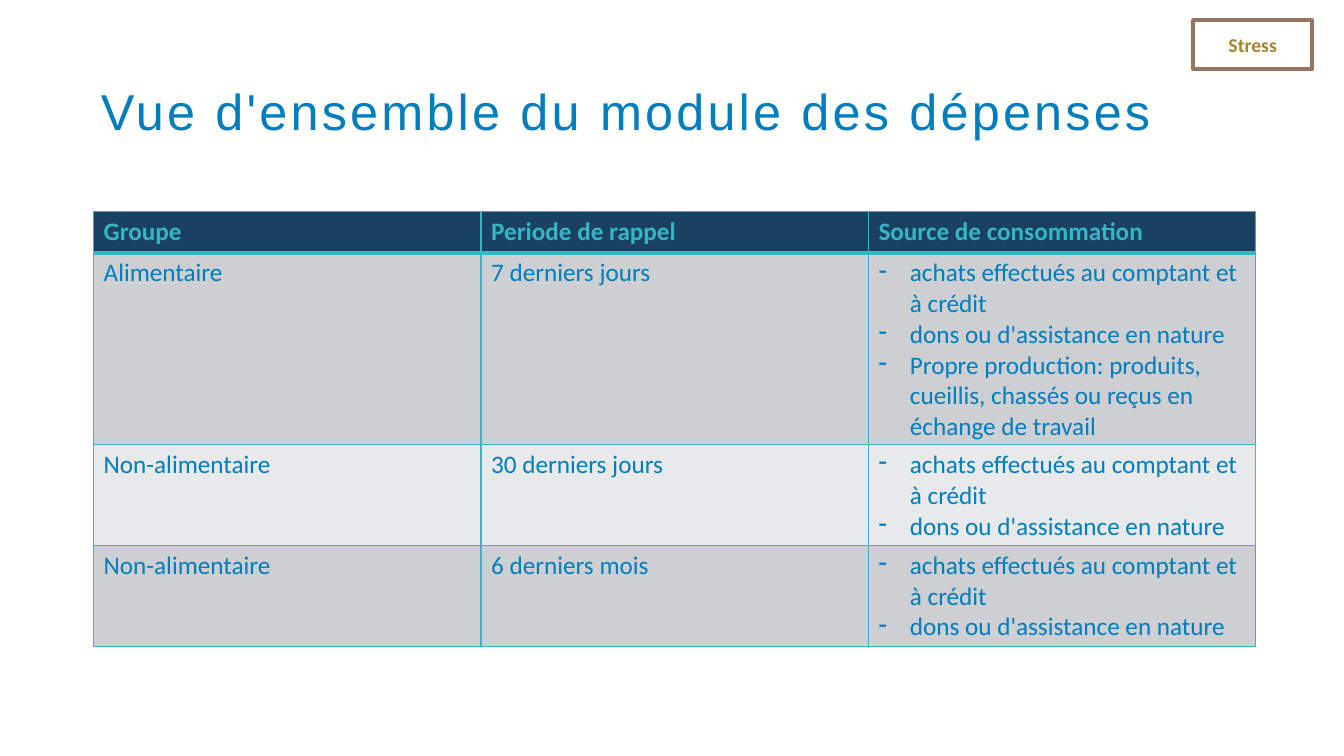
from lxml import etree
from pptx import Presentation
from pptx.dml.color import RGBColor
from pptx.enum.shapes import MSO_SHAPE
from pptx.enum.text import MSO_ANCHOR, MSO_AUTO_SIZE, PP_ALIGN
from pptx.oxml.ns import qn
from pptx.util import Cm, Pt

RECTANGLE = MSO_SHAPE.RECTANGLE
MIDDLE = MSO_ANCHOR.MIDDLE
LEFT, CENTER = PP_ALIGN.LEFT, PP_ALIGN.CENTER
NO_FIT, GROW = MSO_AUTO_SIZE.NONE, MSO_AUTO_SIZE.SHAPE_TO_FIT_TEXT

COLORS = {
    "background": "FFFFFE", "blue": "007DBC", "teal": "36B5C5", "navy": "1A4161",
    "brown": "95765E", "gold": "A5862E", "dark_band": "CDCFD2", "light_band": "E8E9EA",
}
PURCHASES = "achats effectués au comptant et à crédit"
GIFTS = "dons ou d'assistance en nature"
OWN_PRODUCTION = ("Propre production: produits, cueillis, chassés ou reçus "
                  "en échange de travail")
HEADER = ["Groupe", "Periode de rappel", "Source de consommation"]
EXPENSES = [
    ["Alimentaire", "7 derniers jours", [PURCHASES, GIFTS, OWN_PRODUCTION]],
    ["Non-alimentaire", "30 derniers jours", [PURCHASES, GIFTS]],
    ["Non-alimentaire", "6 derniers mois", [PURCHASES, GIFTS]],
]
ROW_HEIGHTS = [1.04, 4.83, 2.54, 2.54]


class SlideBuilder:
    """Holds the style and the current slide, and adds its elements."""

    def __init__(self, prs):
        self.font = "Calibri"
        self.s = prs.slides.add_slide(prs.slide_layouts[5])
        fill = self.s.background.fill
        fill.solid()
        fill.fore_color.rgb = self.color("background")

    def color(self, name):
        return RGBColor.from_string(COLORS[name])

    def run(self, p, text, size, color, bold=False, font=None):
        r = p.add_run()
        r.text = text
        r.font.name = font or self.font
        r.font.size = Pt(size)
        r.font.bold = bold
        r.font.color.rgb = self.color(color)
        return r

    def title(self, text, *box):
        sp = self.s.shapes.title
        sp.left, sp.top, sp.width, sp.height = map(Cm, box)
        tf = sp.text_frame
        tf.word_wrap = True
        tf.auto_size = NO_FIT
        tf.vertical_anchor = MIDDLE
        p = tf.paragraphs[0]
        p.alignment = LEFT
        p.line_spacing = 0.9
        r = self.run(p, text, 36, "blue", font="Arial")
        r.font._element.set("spc", "230")

    def frame(self, *box):
        sp = self.s.shapes.add_shape(RECTANGLE, *map(Cm, box))
        sp.shadow.inherit = False
        sp.fill.background()
        sp.line.color.rgb = self.color("brown")
        sp.line.width = Pt(3)

    def label(self, text, *box):
        tf = self.s.shapes.add_textbox(*map(Cm, box)).text_frame
        tf.word_wrap = True
        tf.auto_size = GROW
        p = tf.paragraphs[0]
        p.alignment = CENTER
        self.run(p, text, 14, "gold", bold=True)

    def dash(self, p):
        pPr = p._p.get_or_add_pPr()
        pPr.set("marL", str(Cm(0.79)))
        pPr.set("indent", str(-Cm(0.79)))
        etree.SubElement(pPr, qn("a:buChar"), char="-")

    def borders(self, cell, bottom):
        tcPr = cell._tc.get_or_add_tcPr()
        for side, width in (("L", 1), ("R", 1), ("T", 1), ("B", bottom)):
            ln = etree.SubElement(tcPr, qn(f"a:ln{side}"), w=str(Pt(width)))
            fill = etree.SubElement(ln, qn("a:solidFill"))
            etree.SubElement(fill, qn("a:srgbClr"), val=COLORS["teal"])

    def cell(self, cell, content, fill, color, header):
        self.borders(cell, 3 if header else 1)
        cell.fill.solid()
        cell.fill.fore_color.rgb = self.color(fill)
        tf = cell.text_frame
        bulleted = isinstance(content, list)
        for i, text in enumerate(content if bulleted else [content]):
            p = tf.add_paragraph() if i else tf.paragraphs[0]
            if bulleted:
                self.dash(p)
            self.run(p, text, 18, color, bold=header)

    def table(self, rows, heights, left, top, width):
        shape = self.s.shapes.add_table(
            len(rows), len(rows[0]), Cm(left), Cm(top), Cm(width), Cm(sum(heights)))
        table = shape.table
        for i, (row, height) in enumerate(zip(rows, heights)):
            table.rows[i].height = Cm(height)
            header = i == 0
            band = "dark_band" if i % 2 else "light_band"
            fill, color = ("navy", "teal") if header else (band, "blue")
            for j, content in enumerate(row):
                self.cell(table.cell(i, j), content, fill, color, header)


def main():
    prs = Presentation()
    prs.slide_width, prs.slide_height = Cm(33.87), Cm(19.05)
    slide = SlideBuilder(prs)
    slide.title("Vue d'ensemble du module des dépenses", 2.29, 1.27, 28.24, 3.2)
    slide.frame(30.07, 0.51, 3, 1.24)
    slide.label("Stress", 30.53, 0.71, 2.08, 0.86)
    slide.table([HEADER, *EXPENSES], ROW_HEIGHTS, 2.36, 5.33, 29.29)
    prs.save("out.pptx")


if __name__ == "__main__":
    main()
